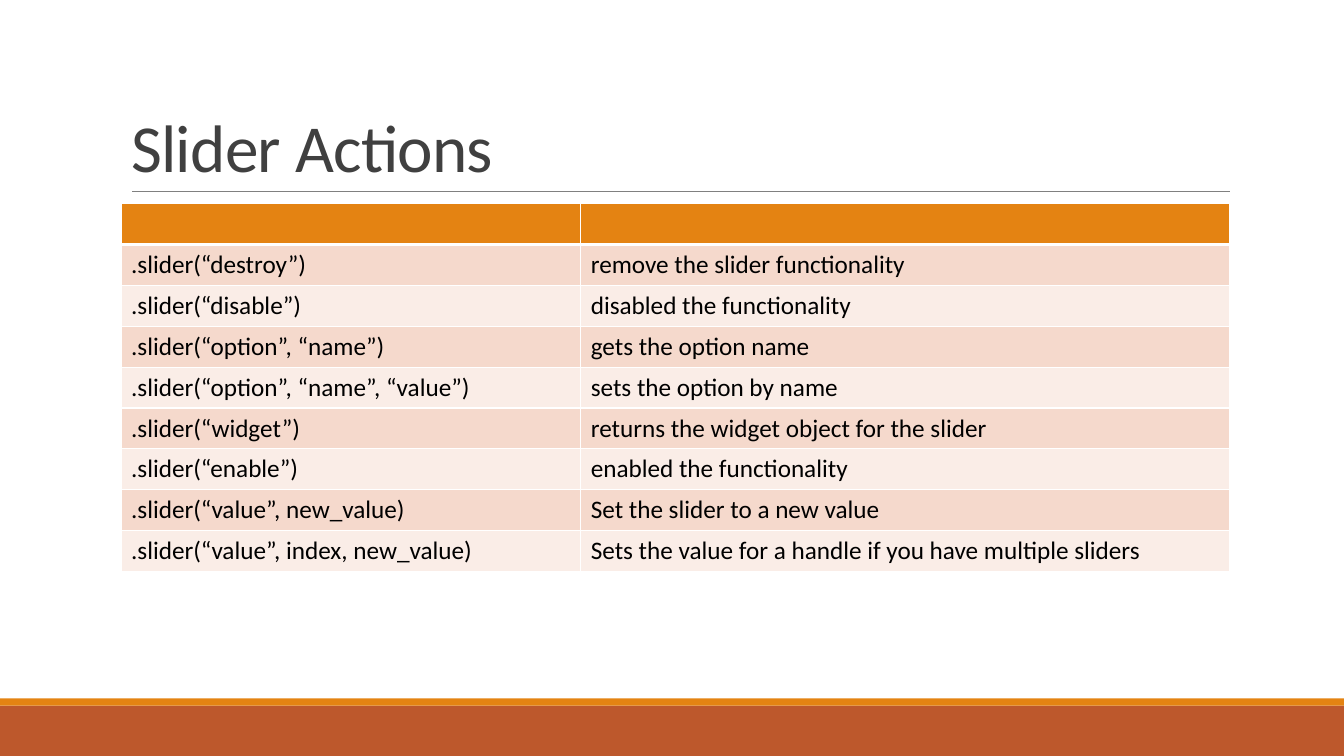
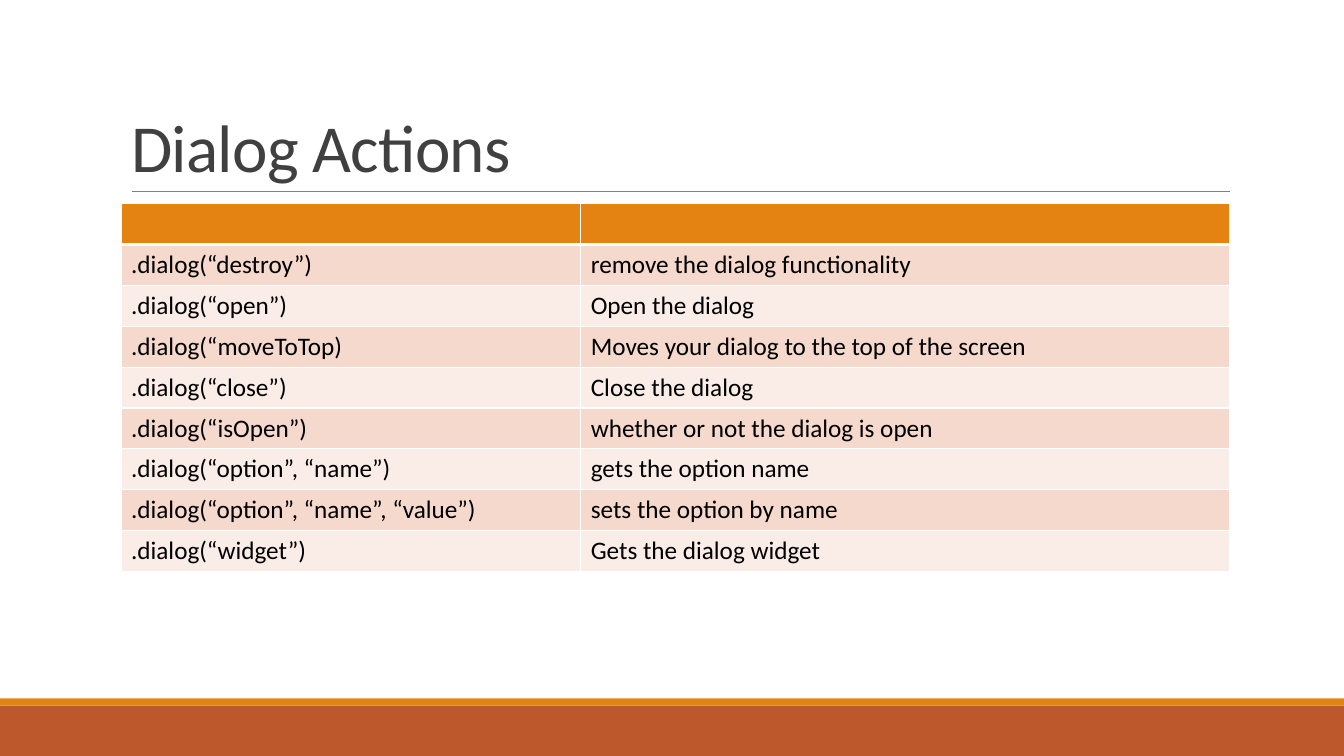
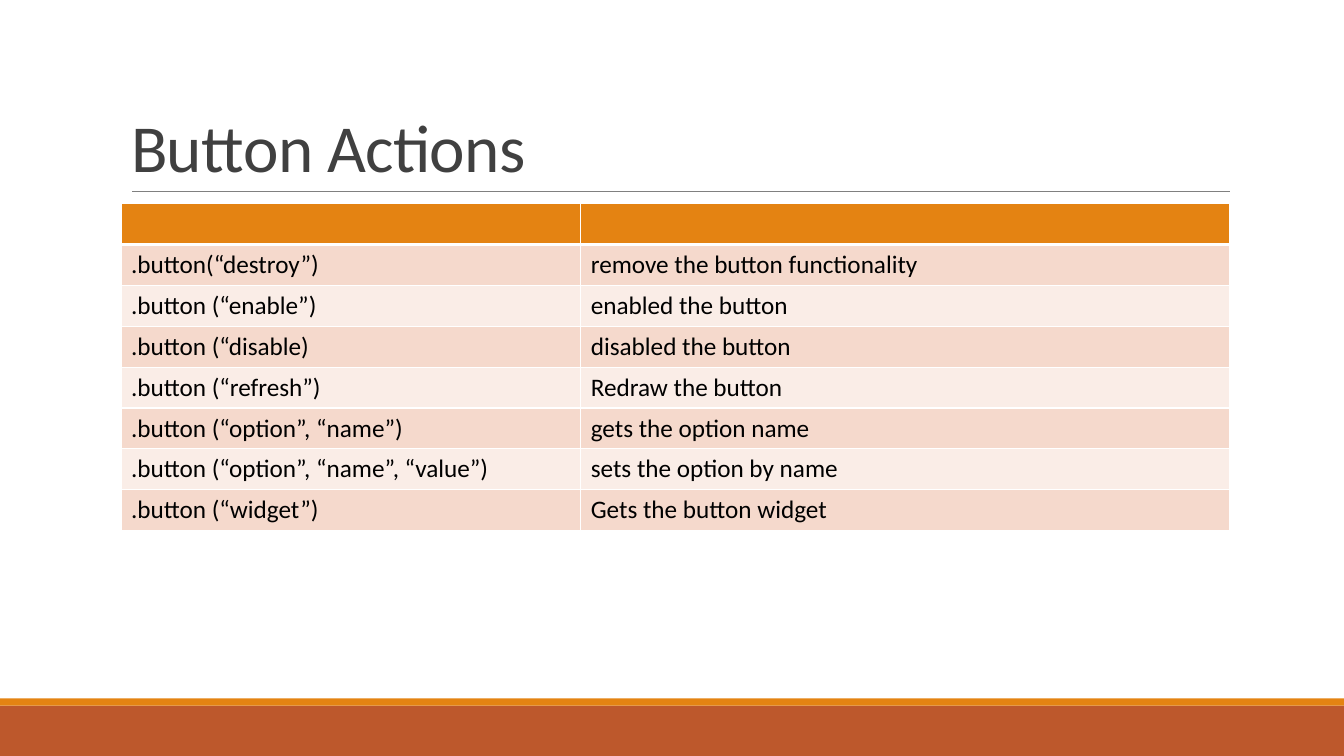
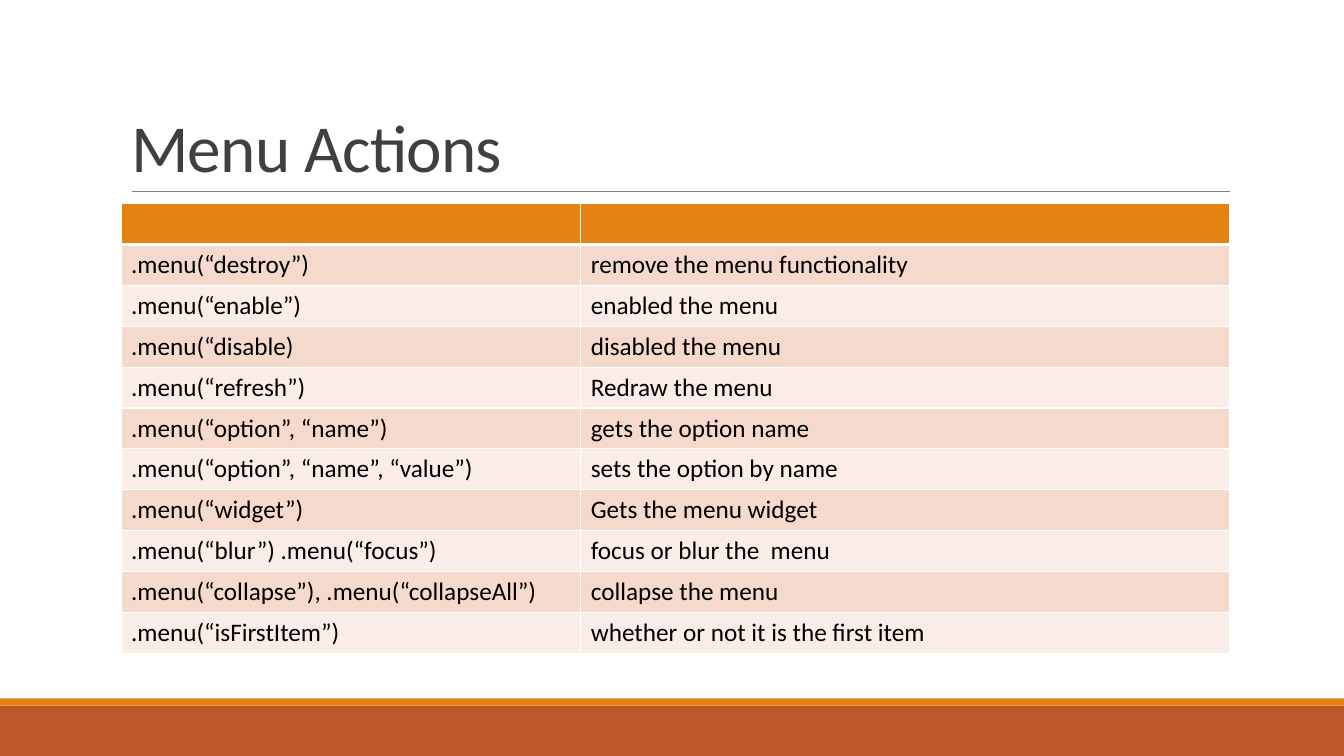
import pptx
import pptx.dml.color
import pptx.enum.shapes
import pptx.enum.text
import pptx.oxml
import pptx.oxml.ns
import pptx.util
from pptx.util import Inches

FONT = "Calibri"
ORANGE, RUST, GREY = "E48312", "BD582C", "808080"
TITLE_COLOR, TEXT_COLOR, WHITE = "404040", "000000", "FFFFFF"
ROW_FILLS = ("F5D9CC", "FAEDE7")

PAGE_WIDTH, PAGE_HEIGHT = Inches(13.33), Inches(7.5)
TITLE_BOX = (Inches(1.2), Inches(0.31), Inches(11), Inches(1.59))
TABLE_BOX = (Inches(1.2), Inches(2.02), Inches(11))
FOOTER_BOX = (0, Inches(6.93), PAGE_WIDTH, Inches(0.57))
FIRST_COLUMN = Inches(4.56)
ROW_HEIGHT = Inches(3.65) // 9
RULE_INSET = Inches(0.11)

ACTIONS = {
    "Slider Actions": [
        (".slider(“destroy”)", "remove the slider functionality"),
        (".slider(“disable”)", "disabled the functionality"),
        (".slider(“option”, “name”)", "gets the option name"),
        (".slider(“option”, “name”, “value”)", "sets the option by name"),
        (".slider(“widget”)", "returns the widget object for the slider"),
        (".slider(“enable”)", "enabled the functionality"),
        (".slider(“value”, new_value)", "Set the slider to a new value"),
        (".slider(“value”, index, new_value)",
         "Sets the value for a handle if you have multiple sliders"),
    ],
    "Dialog Actions": [
        (".dialog(“destroy”)", "remove the dialog functionality"),
        (".dialog(“open”)", "Open the dialog"),
        (".dialog(“moveToTop)", "Moves your dialog to the top of the screen"),
        (".dialog(“close”)", "Close the dialog"),
        (".dialog(“isOpen”)", "whether or not the dialog is open"),
        (".dialog(“option”, “name”)", "gets the option name"),
        (".dialog(“option”, “name”, “value”)", "sets the option by name"),
        (".dialog(“widget”)", "Gets the dialog widget"),
    ],
    "Button Actions": [
        (".button(“destroy”)", "remove the button functionality"),
        (".button (“enable”)", "enabled the button"),
        (".button (“disable)", "disabled the button"),
        (".button (“refresh”)", "Redraw the button"),
        (".button (“option”, “name”)", "gets the option name"),
        (".button (“option”, “name”, “value”)", "sets the option by name"),
        (".button (“widget”)", "Gets the button widget"),
    ],
    "Menu Actions": [
        (".menu(“destroy”)", "remove the menu functionality"),
        (".menu(“enable”)", "enabled the menu"),
        (".menu(“disable)", "disabled the menu"),
        (".menu(“refresh”)", "Redraw the menu"),
        (".menu(“option”, “name”)", "gets the option name"),
        (".menu(“option”, “name”, “value”)", "sets the option by name"),
        (".menu(“widget”)", "Gets the menu widget"),
        (".menu(“blur”) .menu(“focus”)", "focus or blur the  menu"),
        (".menu(“collapse”), .menu(“collapseAll”)", "collapse the menu"),
        (".menu(“isFirstItem”)", "whether or not it is the first item"),
    ],
}


def color(hex_text):
    """Turn a hex string into a colour."""
    return pptx.dml.color.RGBColor.from_string(hex_text)


def write(frame, text, size=18, ink=TEXT_COLOR, line_spacing=None, tracking=None):
    """Put one left-aligned, formatted paragraph into a text frame."""
    para = frame.paragraphs[0]
    para.alignment = pptx.enum.text.PP_ALIGN.LEFT
    if line_spacing:
        para.line_spacing = line_spacing
    span = para.add_run()
    span.text = text
    span.font.name = FONT
    span.font.size = pptx.util.Pt(size)
    span.font.color.rgb = color(ink)
    if tracking:
        span._r.get_or_add_rPr().set("spc", str(round(tracking * 100)))


def add_band(page, left, top, width, height, fill):
    """Draw a plain filled band."""
    band = page.shapes.add_shape(
        pptx.enum.shapes.MSO_SHAPE.RECTANGLE, left, top, width, height)
    band.shadow.inherit = False
    band.fill.solid()
    band.fill.fore_color.rgb = color(fill)
    band.line.fill.background()


def add_footer(page, left, top, width, height):
    """Draw the thin orange band above the rust band."""
    stripe = Inches(0.07)
    add_band(page, left, top + stripe, width, height - stripe, RUST)
    add_band(page, left, top, width, stripe, ORANGE)


def add_title(page, text, left, top, width, height):
    """Place the title with the rule along its bottom edge."""
    title = page.shapes.title
    title.left, title.top, title.width, title.height = left, top, width, height
    frame = title.text_frame
    frame.word_wrap = True
    frame.auto_size = pptx.enum.text.MSO_AUTO_SIZE.NONE
    frame.vertical_anchor = pptx.enum.text.MSO_ANCHOR.BOTTOM
    write(frame, text, size=48, ink=TITLE_COLOR, line_spacing=0.85, tracking=-0.5)

    bottom = top + height
    rule = page.shapes.add_connector(
        pptx.enum.shapes.MSO_CONNECTOR.STRAIGHT,
        left + RULE_INSET, bottom, left + width, bottom)
    rule.line.color.rgb = color(GREY)
    rule.line.width = pptx.util.Pt(0.5)
    pptx.oxml.ns.qn("a:effectLst")
    rule._element.spPr.append(pptx.oxml.parse_xml(
        f'<a:effectLst {pptx.oxml.ns.nsdecls("a")}/>'))


def style_cell(cell, fill, top=1, bottom=1):
    """Fill a cell and give it white borders, with widths in points."""
    properties = cell._tc.get_or_add_tcPr()
    for side, points in (("L", 1), ("R", 1), ("T", top), ("B", bottom)):
        properties.append(pptx.oxml.parse_xml(
            f'<a:ln{side} {pptx.oxml.ns.nsdecls("a")} w="{pptx.util.Pt(points)}">'
            f'<a:solidFill><a:srgbClr val="{WHITE}"/></a:solidFill></a:ln{side}>'))
    cell.fill.solid()
    cell.fill.fore_color.rgb = color(fill)


def add_action_table(page, actions, left, top, width):
    """Build the table: an empty header, then one banded row per action."""
    count = len(actions) + 1
    table = page.shapes.add_table(
        count, 2, left, top, width, ROW_HEIGHT * count).table
    table.horz_banding = False
    table.columns[0].width = FIRST_COLUMN
    table.columns[1].width = width - FIRST_COLUMN
    for row in table.rows:
        row.height = ROW_HEIGHT
    for cell in table.rows[0].cells:
        style_cell(cell, ORANGE, bottom=3)
    for index, texts in enumerate(actions):
        for cell, text in zip(table.rows[index + 1].cells, texts):
            style_cell(cell, ROW_FILLS[index % 2], top=1 if index else 3)
            write(cell.text_frame, text)


def add_action_page(deck, title, actions):
    """Add one slide that lists the actions of a widget."""
    page = deck.slides.add_slide(deck.slide_layouts.get_by_name("Title Only"))
    add_footer(page, *FOOTER_BOX)
    add_title(page, title, *TITLE_BOX)
    add_action_table(page, actions, *TABLE_BOX)


def main():
    """Build and save the deck."""
    deck = pptx.Presentation()
    deck.slide_width, deck.slide_height = PAGE_WIDTH, PAGE_HEIGHT
    for title, actions in ACTIONS.items():
        add_action_page(deck, title, actions)
    deck.save("out.pptx")


main()
